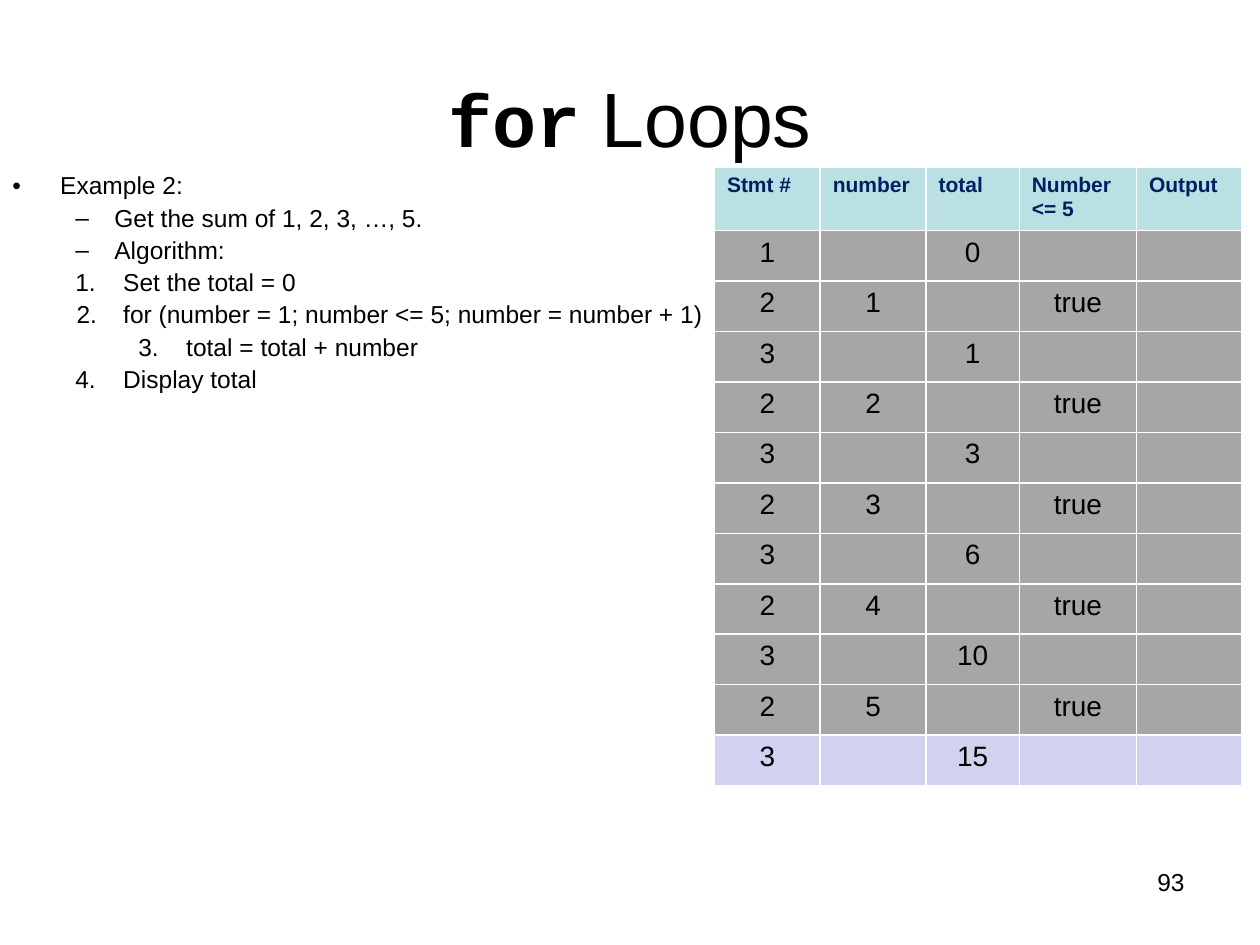
from dataclasses import dataclass

from lxml.etree import SubElement
from pptx import Presentation
from pptx.dml.color import RGBColor as Color
from pptx.enum.text import MSO_ANCHOR as Anchor, PP_ALIGN as Align
from pptx.oxml.ns import qn
from pptx.util import Inches, Pt


@dataclass(frozen=True)
class Theme:
    font: str = "Arial"
    code_font: str = "Courier New"
    ink: Color = Color.from_string("000000")
    header_ink: Color = Color.from_string("002060")
    header_fill: Color = Color.from_string("BBE0E3")
    past_fill: Color = Color.from_string("A6A6A6")
    current_fill: Color = Color.from_string("D1D1F0")
    title_size: Pt = Pt(44)
    code_size: Pt = Pt(42)
    body_size: Pt = Pt(14)
    header_size: Pt = Pt(12)
    cell_size: Pt = Pt(16)
    body_gap: Pt = Pt(3.3)


THEME = Theme()

ALGORITHM = [
    ("Example 2:", 0, 0.38, -0.38, "•"),
    ("Get the sum of 1, 2, 3, …, 5.", 1, 0.81, -0.31, "–"),
    ("Algorithm:", 1, 0.81, -0.31, "–"),
    ("Set the total = 0", 1, 0.88, -0.38, 1),
    ("for (number = 1; number <= 5; number = number + 1)", 2, 0.88, -0.37, 2),
    ("total = total + number", 2, 1.38, -0.38, 2),
    ("Display total", 1, 0.88, -0.38, 4),
]

HEADERS = ["Stmt #", "number", "total", "Number <= 5", "Output"]
COLUMN_WIDTHS = [0.84, 0.84, 0.74, 0.93, 0.84]
HEADER_HEIGHT = 0.48
ROW_HEIGHT = 0.4


def set_values(item, values):
    for name, value in values.items():
        setattr(item, name, value)


def add_span(para, text, size, color=THEME.ink, font=THEME.font, bold=False):
    span = para.add_run()
    span.text = text
    set_values(span.font, {"size": size, "name": font, "bold": bold})
    span.font.color.rgb = color


def place(shape, box):
    names = ("left", "top", "width", "height")
    set_values(shape, dict(zip(names, map(Inches, box))))


def add_text_box(page, box):
    frame = page.shapes.add_textbox(*map(Inches, box)).text_frame
    frame.word_wrap = True
    return frame


def add_bullet(para, left, indent, mark):
    props = para._p.get_or_add_pPr()
    props.set("marL", str(Inches(left)))
    props.set("indent", str(Inches(indent)))
    if isinstance(mark, int):
        number = SubElement(props, qn("a:buAutoNum"), type="arabicPeriod")
        if mark > 1:
            number.set("startAt", str(mark))
    else:
        SubElement(props, qn("a:buFont"), typeface=THEME.font)
        SubElement(props, qn("a:buChar"), char=mark)


def fill_title(page, box):
    title = page.shapes.title
    place(title, box)
    title.text_frame.vertical_anchor = Anchor.MIDDLE
    para = title.text_frame.paragraphs[0]
    para.alignment = Align.CENTER
    add_span(para, "for", THEME.code_size, font=THEME.code_font, bold=True)
    add_span(para, " Loops", THEME.title_size)


def add_algorithm(page, box):
    frame = add_text_box(page, box)
    for index, (text, level, left, indent, mark) in enumerate(ALGORITHM):
        para = frame.add_paragraph() if index else frame.paragraphs[0]
        set_values(para, {"level": level, "line_spacing": 0.9})
        if index:
            para.space_before = THEME.body_gap
        add_bullet(para, left, indent, mark)
        add_span(para, text, THEME.body_size)


def trace_rows():
    rows = [["1", "", "0", "", ""]]
    total = 0
    for number in range(1, 6):
        total += number
        rows.append(["2", str(number), "", "true", ""])
        rows.append(["3", "", str(total), "", ""])
    return rows


def fill_cell(cell, text, fill, align, **style):
    cell.fill.solid()
    cell.fill.fore_color.rgb = fill
    if text:
        para = cell.text_frame.paragraphs[0]
        para.alignment = align
        add_span(para, text, **style)


def add_trace_table(page, box):
    rows = trace_rows()
    frame = page.shapes.add_table(len(rows) + 1, len(HEADERS), *map(Inches, box))
    table = frame.table
    table.horz_banding = False
    for column, width in zip(table.columns, COLUMN_WIDTHS):
        column.width = Inches(width)
    for index, row in enumerate(table.rows):
        row.height = Inches(ROW_HEIGHT if index else HEADER_HEIGHT)
    for cell, text in zip(table.rows[0].cells, HEADERS):
        fill_cell(cell, text, THEME.header_fill, Align.LEFT,
                  size=THEME.header_size, color=THEME.header_ink, bold=True)
    for index, values in enumerate(rows, start=1):
        fill = THEME.current_fill if index == len(rows) else THEME.past_fill
        for cell, text in zip(table.rows[index].cells, values):
            fill_cell(cell, text, fill, Align.CENTER, size=THEME.cell_size)


def add_page_number(page, box):
    para = add_text_box(page, box).paragraphs[0]
    para.alignment = Align.RIGHT
    add_span(para, "93", THEME.body_size)


def main():
    deck = Presentation()
    set_values(deck, {"slide_width": Inches(10), "slide_height": Inches(7.5)})
    page = deck.slides.add_slide(deck.slide_layouts.get_by_name("Title Only"))
    fill_title(page, (0.5, 0.3, 9, 1.25))
    add_algorithm(page, (0, 1.33, 6.2, 2.15))
    add_page_number(page, (7.17, 6.83, 2.33, 0.52))
    add_trace_table(page, (5.67, 1.33, 4.18, 4.93))
    deck.save("out.pptx")


if __name__ == "__main__":
    main()
